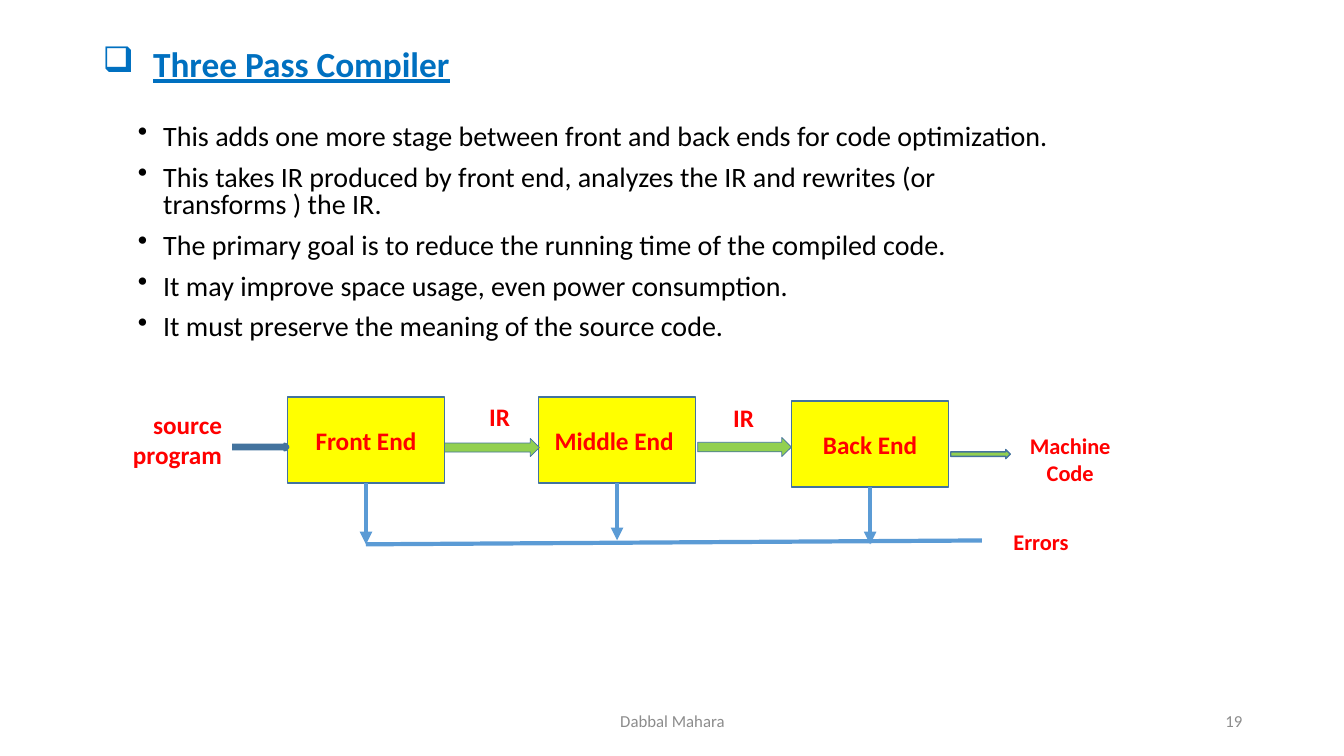
from lxml.etree import SubElement
from pptx import Presentation
from pptx.dml.color import RGBColor
from pptx.enum.shapes import MSO_CONNECTOR as Connector, MSO_SHAPE as Shape
from pptx.enum.text import MSO_ANCHOR as Anchor, MSO_AUTO_SIZE as AutoSize, PP_ALIGN as Align
from pptx.oxml.ns import qn
from pptx.util import Inches, Pt

BLUE = RGBColor(0x00, 0x70, 0xC0)
BLACK = RGBColor(0x00, 0x00, 0x00)
GREY = RGBColor(0x8C, 0x8C, 0x8C)
RED = RGBColor(0xFF, 0x00, 0x00)
YELLOW = RGBColor(0xFF, 0xFF, 0x00)
GREEN = RGBColor(0x92, 0xD0, 0x50)
WHITE = RGBColor(0xFF, 0xFF, 0xFF)
OUTLINE = RGBColor(0x43, 0x73, 0x9E)
ERROR_BLUE = RGBColor(0x5B, 0x9B, 0xD5)

POINTS = [
    "This adds one more stage between front and back ends for code optimization.",
    "This takes IR produced by front end, analyzes the IR and rewrites (or transforms ) the IR.",
    "The primary goal is to reduce the running time of the compiled code.",
    "It may improve space usage, even power consumption.",
    "It must preserve the meaning of the source code.",
]


def add_bullet(paragraph, character, indent):
    """Give a paragraph a bullet with a hanging indent."""
    properties = paragraph._p.get_or_add_pPr()
    properties.set("marL", str(Inches(indent)))
    properties.set("indent", str(-Inches(indent)))
    SubElement(properties, qn("a:buChar")).set("char", character)


def write(paragraph, text, size, color, bold=False, underline=False, align=Align.LEFT):
    """Add one formatted run to a paragraph."""
    paragraph.alignment = align
    run = paragraph.add_run()
    run.text = text
    font = run.font
    font.name, font.size = "Calibri", Pt(size)
    font.bold, font.underline = bold, underline
    font.color.rgb = color


def add_text_frame(slide, box, anchor=Anchor.TOP):
    """Add a wrapping text box and return its frame."""
    frame = slide.shapes.add_textbox(*map(Inches, box)).text_frame
    frame.word_wrap = True
    frame.vertical_anchor = anchor
    return frame


def add_title(slide, box):
    """Place the bulleted slide title."""
    paragraph = add_text_frame(slide, box, Anchor.MIDDLE).paragraphs[0]
    add_bullet(paragraph, "❑", 0.5)
    paragraph.line_spacing = 0.9
    write(paragraph, "Three Pass Compiler", 25.2, BLUE, bold=True, underline=True)


def add_points(slide, box):
    """Place the list of points."""
    frame = add_text_frame(slide, box)
    for index, point in enumerate(POINTS):
        paragraph = frame.add_paragraph() if index else frame.paragraphs[0]
        add_bullet(paragraph, "•", 0.25)
        paragraph.line_spacing = 0.8
        paragraph.space_before = Pt(10 if index else 0)
        write(paragraph, point, 20, BLACK)


def add_footer(slide, box):
    """Place the author in the middle and the page number at the right."""
    left, top, width, height = box
    author = add_text_frame(slide, (left, top, 4.5, height), Anchor.MIDDLE)
    write(author.paragraphs[0], "Dabbal Mahara", 12, GREY, align=Align.CENTER)
    number = add_text_frame(slide, (left + width - 3, top, 3, height), Anchor.MIDDLE)
    write(number.paragraphs[0], "19", 12, GREY, align=Align.RIGHT)


def add_filled_shape(slide, kind, box, fill, line_width=0):
    """Add a flat filled shape, outlined when a line width is given."""
    shape = slide.shapes.add_shape(kind, *map(Inches, box))
    shape.shadow.inherit = False
    shape.fill.solid()
    shape.fill.fore_color.rgb = fill
    if line_width:
        shape.line.color.rgb = OUTLINE
        shape.line.width = Pt(line_width)
    else:
        shape.line.fill.background()
    return shape


def add_stage(slide, box, name):
    """Add one yellow compiler stage."""
    stage = add_filled_shape(slide, Shape.RECTANGLE, box, YELLOW, 1)
    stage.text_frame.vertical_anchor = Anchor.MIDDLE
    write(stage.text_frame.paragraphs[0], name, 18, RED, bold=True, align=Align.CENTER)
    return stage


def add_label(slide, box, text, size, align=Align.CENTER):
    """Add a red label on a white ground."""
    frame = add_filled_shape(slide, Shape.RECTANGLE, box, WHITE).text_frame
    frame.word_wrap = True
    frame.auto_size = AutoSize.SHAPE_TO_FIT_TEXT
    frame.vertical_anchor = Anchor.TOP
    write(frame.paragraphs[0], text, size, RED, bold=True, align=align)


def add_error_line(slide, start, end, stage=None):
    """Add an error arrow, leaving the bottom of a stage when one is given."""
    line = slide.shapes.add_connector(Connector.STRAIGHT, *map(Inches, start + end))
    if stage is not None:
        line.begin_connect(stage, 2)
    line.line.color.rgb = ERROR_BLUE
    line.line.width = Pt(3)
    SubElement(line.line._get_or_add_ln(), qn("a:tailEnd")).set("type", "triangle")
    SubElement(line._element.spPr, qn("a:effectLst"))


def add_pipeline(slide, box):
    """Draw the three stages with their inputs, outputs and errors."""
    left, top, width, height = box
    stage_width, stage_height = 1.56, 0.85

    def place(x, y, w, h):
        return left + x, top + y, w, h

    stages = []
    for name, x, y in [("Front End", 1.73, 0.01), ("Middle End ", 4.22, 0.01),
                       ("Back End", 6.73, 0.05)]:
        stage = add_stage(slide, place(x, y, stage_width, stage_height), name)
        stages.append((stage, left + x + stage_width / 2, top + y + stage_height))

    for x, y, w, h, line_width in [(3.29, 0.42, 0.94, 0.18, 0.5), (5.8, 0.41, 0.93, 0.19, 0.5),
                                   (1.18, 0.48, 0.55, 0.05, 3), (8.31, 0.53, 0.59, 0.09, 1)]:
        add_filled_shape(slide, Shape.RIGHT_ARROW, place(x, y, w, h), GREEN, line_width)

    add_label(slide, place(0, 0.08, 1.18, 0.71), "source program", 18, Align.RIGHT)
    add_label(slide, place(3.6, 0, 0.47, 0.4), "IR", 18)
    add_label(slide, place(6.02, 0.01, 0.47, 0.4), "IR", 18)
    add_label(slide, place(8.91, 0.31, 1.17, 0.64), "Machine Code", 16)

    bottom = top + height - 0.16
    for (stage, center, stage_bottom), lift in zip(stages, (0, 0.04, 0)):
        add_error_line(slide, (center, stage_bottom), (center, bottom - lift), stage)
    add_error_line(slide, (stages[0][1], bottom), (left + 8.9, bottom - 0.04))
    add_label(slide, place(width - 1.46, height - 0.37, 1.17, 0.37), "Errors", 16)


def main():
    """Build and save the slide."""
    presentation = Presentation()
    presentation.slide_width, presentation.slide_height = Inches(13.33), Inches(7.5)
    slide = presentation.slides.add_slide(presentation.slide_layouts[6])
    add_title(slide, (0.92, 0.4, 11.5, 0.51))
    add_points(slide, (1.27, 1.19, 9.32, 2.26))
    add_footer(slide, (4.42, 6.95, 8, 0.4))
    add_pipeline(slide, (1.12, 3.93, 10.08, 1.63))
    presentation.save("out.pptx")


if __name__ == "__main__":
    main()
